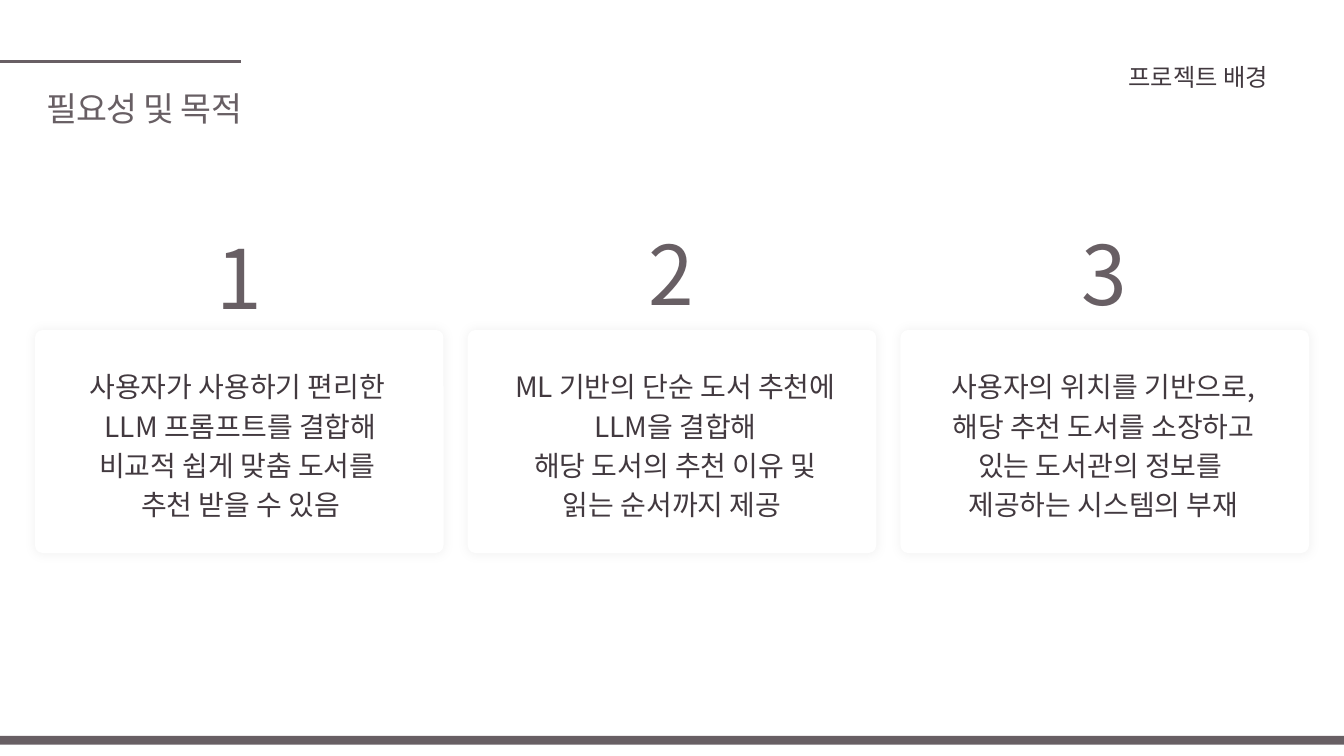
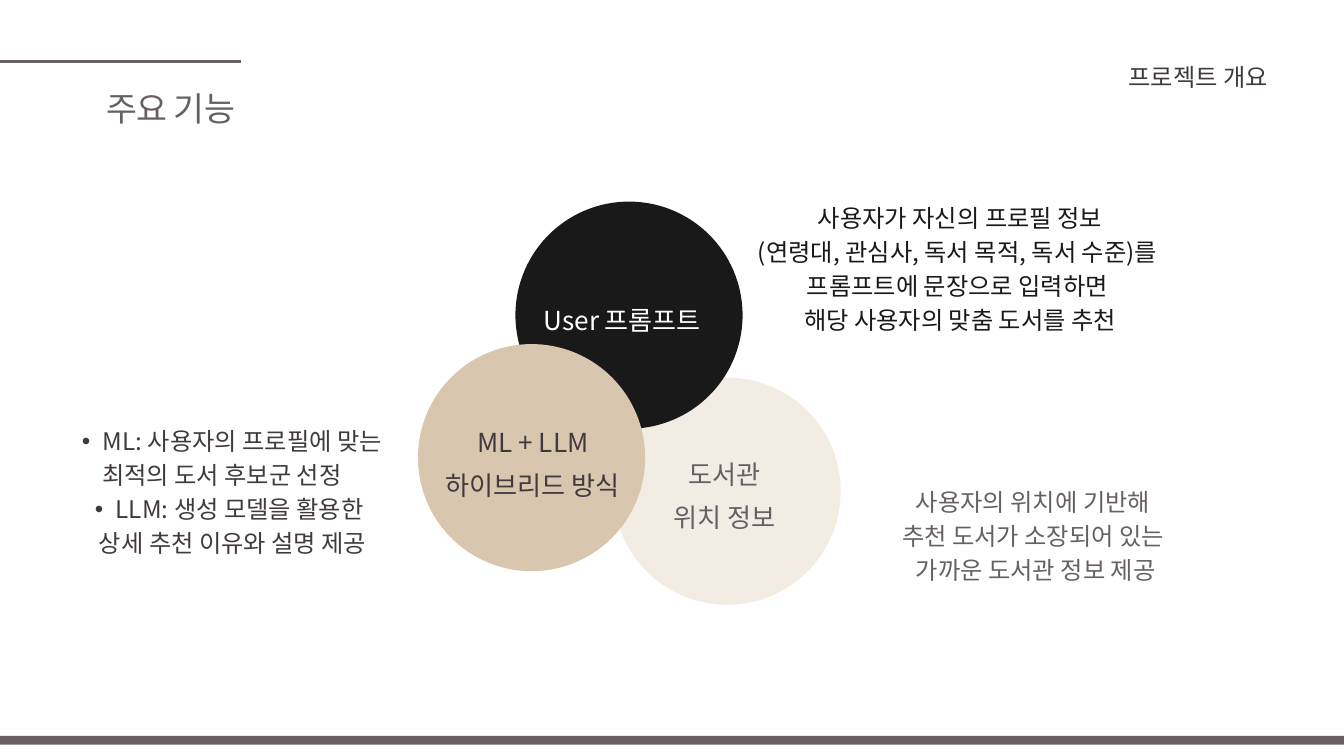
from dataclasses import dataclass

from lxml import etree
from pptx import Presentation
from pptx.dml.color import RGBColor
from pptx.enum import shapes, text
from pptx.oxml import ns
from pptx.util import Pt

PX = 9144  # 100 px to the inch
LEFT, MID, RIGHT = text.PP_ALIGN.LEFT, text.PP_ALIGN.CENTER, text.PP_ALIGN.RIGHT


@dataclass(frozen=True)
class Theme:
    font: str = "Noto Sans CJK KR"
    white: str = "FFFFFF"
    black: str = "191919"
    dark: str = "42393F"
    mauve: str = "685F64"
    tan: str = "D8C6AF"
    cream: str = "F2ECE3"
    note: int = 26
    label: int = 28
    body: int = 30
    title: int = 36
    digit: int = 88


def emu(*nums):
    return [n * PX for n in nums]


def rgb(code):
    return RGBColor.from_string(code)


def node(parent, tag, **attrs):
    return etree.SubElement(parent, ns.qn(tag), attrs)


class Deck:
    def __init__(self, theme):
        self.theme = theme
        self.file = Presentation()
        self.file.slide_width, self.file.slide_height = emu(2000, 1125)
        self.slide = None

    def page(self, title, topic):
        """Start a slide with its rule, title, topic and bottom band."""
        t = self.theme
        self.slide = self.file.slides.add_slide(self.file.slide_layouts[6])
        self.rule(0, 91, 358, 91)
        self.label((1463, 86, 424, 48), [topic], t.note, t.dark, 36.4, RIGHT)
        self.label((8, 100, 352, 83), [title], t.title, t.mauve, 65.9, RIGHT, track=-70)
        self.shape("RECTANGLE", (0, 1095, 2000, 13), t.mauve)

    def rule(self, *ends):
        line = self.slide.shapes.add_connector(shapes.MSO_CONNECTOR.STRAIGHT, *emu(*ends))
        line.line.color.rgb = rgb(self.theme.mauve)
        line.line.width = Pt(3)
        node(line._element.spPr, "a:effectLst")

    def shape(self, kind, box, fill):
        item = self.slide.shapes.add_shape(shapes.MSO_SHAPE[kind], *emu(*box))
        item.shadow.inherit = False
        item.fill.solid()
        item.fill.fore_color.rgb = rgb(fill)
        item.line.fill.background()
        return item

    def card(self, box):
        """White rounded panel with a faint glow-like shadow."""
        item = self.shape("ROUNDED_RECTANGLE", box, self.theme.white)
        item.adjustments[0] = 0.035
        glow = node(item._element.spPr.find(ns.qn("a:effectLst")), "a:outerShdw",
                    blurRad=str(int(Pt(12))), dist="0", dir="0", algn="ctr", rotWithShape="0")
        node(node(glow, "a:srgbClr", val="000000"), "a:alpha", val="5000")

    def label(self, box, lines, size, color, lead=None, align=MID, track=None):
        """Add text; a line is a string or (string, left px, bullet or None)."""
        frame = self.slide.shapes.add_textbox(*emu(*box)).text_frame
        look = dict(word_wrap=True, auto_size=text.MSO_AUTO_SIZE.SHAPE_TO_FIT_TEXT,
                    margin_left=0, margin_top=0, margin_right=0, margin_bottom=0)
        for key, val in look.items():
            setattr(frame, key, val)
        for i, line in enumerate(lines):
            words, left, mark = (line, 0, None) if isinstance(line, str) else line
            para = frame.add_paragraph() if i else frame.paragraphs[0]
            para.alignment = align
            if lead:
                para.line_spacing = Pt(lead)
            if left:
                para._p.get_or_add_pPr().set("marL", str(left * PX))
            if mark:
                props = para._p.get_or_add_pPr()
                props.set("indent", str(-31 * PX))
                node(props, "a:buFont", typeface="Arial")
                node(props, "a:buChar", char=mark)
            run = para.add_run()
            run.text = words
            for key, val in dict(size=Pt(size), name=self.theme.font).items():
                setattr(run.font, key, val)
            run.font.color.rgb = rgb(color)
            props = run._r.get_or_add_rPr()
            node(props, "a:ea", typeface=self.theme.font)
            if track:
                props.set("spc", str(track))


def needs(deck):
    t = deck.theme
    deck.page("필요성 및 목적", "프로젝트 배경")
    # Three numbered cards: text left and width, digit top, lines
    cards = [
        (54, 608, 338, ["사용자가 사용하기 편리한 ", "LLM 프롬프트를 결합해",
                        "비교적 쉽게 맞춤 도서를 ", "추천 받을 수 있음"]),
        (701, 608, 333, ["ML 기반의 단순 도서 추천에", "LLM을 결합해",
                         "해당 도서의 추천 이유 및", "읽는 순서까지 제공 "]),
        (1399, 486, 333, ["사용자의 위치를 기반으로,",
                          "해당 추천 도서를 소장하고 있는 도서관의 정보를 ",
                          "제공하는 시스템의 부재"]),
    ]
    for i, (left, width, top, lines) in enumerate(cards):
        x = 52 + 644 * i
        deck.card((x, 491, 608, 332))
        deck.label((left, 542, width, 231), lines, t.body, t.dark, 42)
        deck.label((x + 240, top, 127, 148), [str(i + 1)], t.digit, t.mauve)


def features(deck):
    t = deck.theme
    deck.page("주요 기능 ", "프로젝트 개요")
    # Overlapping circles
    for x, y, fill in [(913, 562, t.cream), (767, 300, t.black), (622, 512, t.tan)]:
        deck.shape("OVAL", (x, y, 338, 338), fill)
    # Circle labels
    names = [
        ((619, 617, 348, 126), ["ML + LLM", "하이브리드 방식"], t.dark, MID),
        ((942, 665, 280, 125), ["도서관 ", "위치 정보 "], t.mauve, MID),
        ((809, 436, 280, 58), ["User 프롬프트"], t.white, LEFT),
    ]
    for box, lines, color, align in names:
        deck.label(box, lines, t.label, color, 46.2, align)
    # Notes beside the circles
    notes = [
        ((1111, 295, 636, 201), t.black,
         ["사용자가 자신의 프로필 정보", "(연령대, 관심사, 독서 목적, 독서 수준)를 ",
          "프롬프트에 문장으로 입력하면 ", "해당 사용자의 맞춤 도서를 추천"]),
        ((1324, 718, 435, 150), t.mauve,
         ["사용자의 위치에 기반해 ", "추천 도서가 소장되어 있는 ", "가까운 도서관 정보 제공"]),
        ((67, 627, 527, 201), t.dark,
         [("ML: 사용자의 프로필에 맞는", 61, "•"), "최적의 도서 후보군 선정",
          ("LLM: 생성 모델을 활용한 ", 61, "•"), ("상세 추천 이유와 설명 제공", 32, None)]),
    ]
    for box, color, lines in notes:
        deck.label(box, lines, t.note, color, 36.4)


def main():
    deck = Deck(Theme())
    needs(deck)
    features(deck)
    deck.file.save("out.pptx")


if __name__ == "__main__":
    main()
